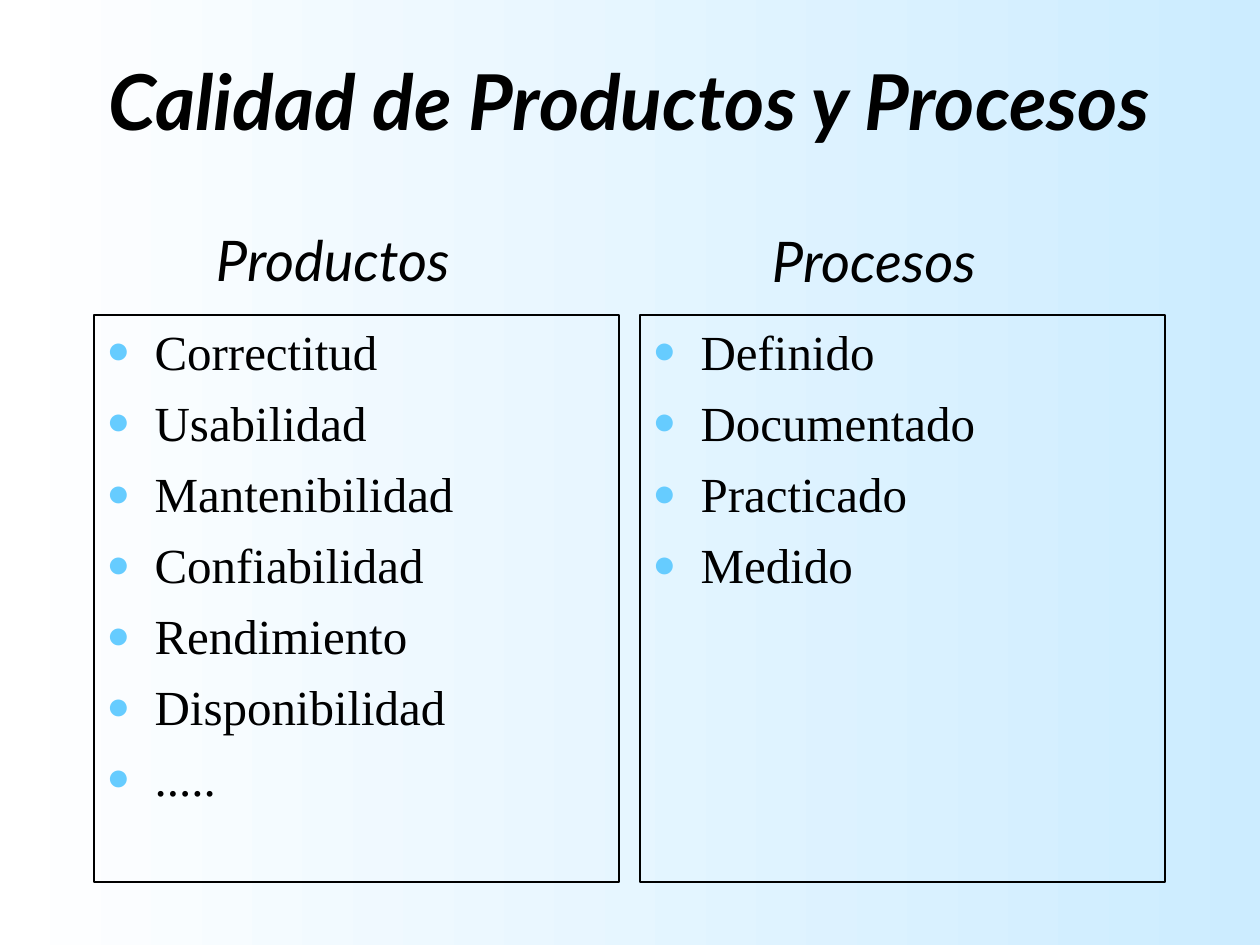
from dataclasses import dataclass

from lxml import etree
from pptx import Presentation
from pptx import util as u
from pptx.dml.color import RGBColor
from pptx.enum import text
from pptx.oxml.ns import qn

PX = 914400 / 126


@dataclass(frozen=True)
class Theme:
    ink: str = "000000"
    bullet: str = "66CCFF"
    back: tuple = ("FFFFFF", "CCECFF")
    head_font: str = "Lato"
    body_font: str = "Times New Roman"
    title_size: int = 44
    heading_size: int = 32
    body_size: int = 28
    body_gap: int = 7
    bullet_pct: int = 80
    indent: int = 48
    border: float = 0.75


def px(n):
    return u.Emu(round(n * PX))


class Deck:
    def __init__(self, theme):
        self.t = theme
        self.prs = Presentation()
        self.prs.slide_width, self.prs.slide_height = px(1260), px(945)
        self.s = self.prs.slides.add_slide(self.prs.slide_layouts[3])

    def background(self):
        fill = self.s.background.fill
        fill.gradient()
        fill.gradient_angle = 0
        for stop, color in zip(fill.gradient_stops, self.t.back):
            stop.color.rgb = RGBColor.from_string(color)

    def place(self, sp, box):
        sp.left, sp.top, sp.width, sp.height = map(px, box)

    def run(self, p, words, font, size, bold=False, italic=False):
        r = p.add_run()
        r.text = words
        f = r.font
        f.name, f.size, f.bold, f.italic = font, u.Pt(size), bold, italic
        f.color.rgb = RGBColor.from_string(self.t.ink)

    def title(self, words, box):
        sp = self.s.shapes.title
        self.place(sp, box)
        tf = sp.text_frame
        tf.auto_size = text.MSO_AUTO_SIZE.NONE
        tf.vertical_anchor = text.MSO_ANCHOR.MIDDLE
        p = tf.paragraphs[0]
        p.alignment = text.PP_ALIGN.CENTER
        self.run(p, words, self.t.head_font, self.t.title_size, True, True)

    def heading(self, words, box):
        sp = self.s.shapes.add_textbox(*map(px, box))
        tf = sp.text_frame
        tf.word_wrap = False
        tf.auto_size = text.MSO_AUTO_SIZE.SHAPE_TO_FIT_TEXT
        p = tf.paragraphs[0]
        p.alignment = text.PP_ALIGN.CENTER
        self.run(p, words, self.t.head_font, self.t.heading_size, italic=True)

    def bullets(self, idx, items, box):
        sp = self.s.placeholders[idx]
        self.place(sp, box)
        sp.line.color.rgb = RGBColor.from_string(self.t.ink)
        sp.line.width = u.Pt(self.t.border)
        tf = sp.text_frame
        tf.auto_size = text.MSO_AUTO_SIZE.NONE
        for i, item in enumerate(items):
            p = tf.add_paragraph() if i else tf.paragraphs[0]
            p.space_before = u.Pt(self.t.body_gap)
            self.mark(p)
            self.run(p, item, self.t.body_font, self.t.body_size)

    def mark(self, p):
        pr = p._p.get_or_add_pPr()
        pr.set("marL", str(px(self.t.indent)))
        pr.set("indent", str(-px(self.t.indent)))
        color = etree.SubElement(pr, qn("a:buClr"))
        etree.SubElement(color, qn("a:srgbClr"), val=self.t.bullet)
        etree.SubElement(pr, qn("a:buSzPct"), val=str(self.t.bullet_pct * 1000))
        etree.SubElement(pr, qn("a:buFont"), typeface=self.t.body_font)
        etree.SubElement(pr, qn("a:buChar"), char="●")


def main():
    deck = Deck(Theme())
    deck.background()
    deck.title("Calidad de Productos y Procesos", (94, 21, 1071, 158))
    columns = [
        ("Productos", (195, 219, 276, 81),
         ["Correctitud", "Usabilidad", "Mantenibilidad", "Confiabilidad",
          "Rendimiento", "Disponibilidad", "....."]),
        ("Procesos", (752, 220, 244, 81),
         ["Definido", "Documentado", "Practicado", "Medido"]),
    ]
    for i, (name, box, items) in enumerate(columns):
        deck.bullets(i + 1, items, (94 + i * 546, 315, 525, 567))
        deck.heading(name, box)
    deck.prs.save("out.pptx")


if __name__ == "__main__":
    main()
